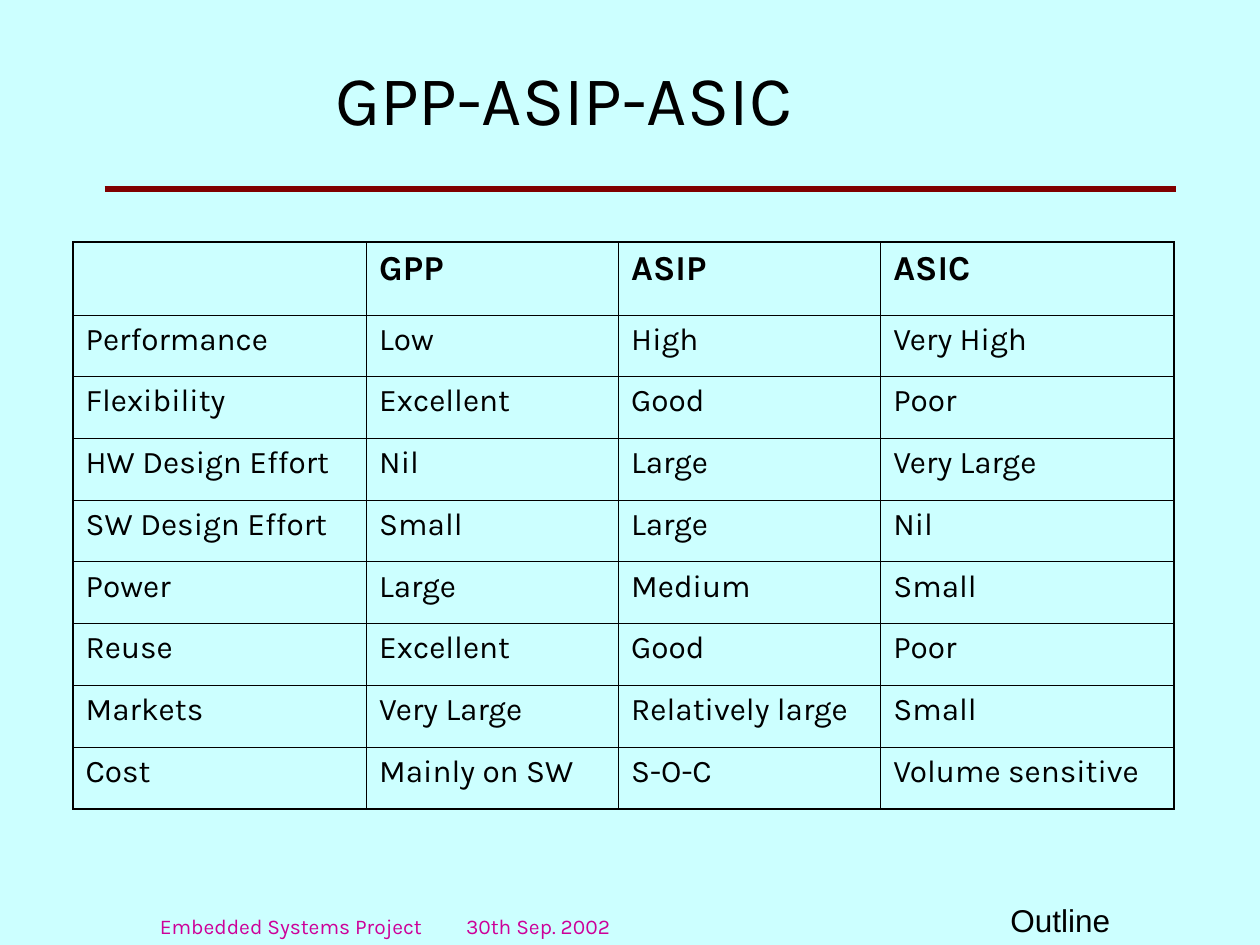
from lxml.etree import SubElement
from pptx import Presentation
from pptx.dml.color import RGBColor
from pptx.enum.shapes import MSO_CONNECTOR
from pptx.enum.text import MSO_ANCHOR, MSO_AUTO_SIZE, PP_ALIGN
from pptx.oxml.ns import qn
from pptx.util import Inches, Pt

BACKGROUND = RGBColor(0xCC, 0xFF, 0xFF)
BLACK = RGBColor(0, 0, 0)
MAROON = RGBColor(0x80, 0, 0)
MAGENTA = RGBColor(0xCC, 0, 0x99)

THIN, THICK = 0.45, 1.08
COLUMN_WIDTHS = [2.33, 2, 2.08, 2.33]
HEADER_HEIGHT, ROW_HEIGHT = 0.58, 0.49
ROWS = [
    ["", "GPP", "ASIP", "ASIC"],
    ["Performance", "Low", "High", "Very High"],
    ["Flexibility", "Excellent", "Good", "Poor"],
    ["HW Design Effort", "Nil", "Large", "Very Large"],
    ["SW Design Effort", "Small", "Large", "Nil"],
    ["Power", "Large", "Medium", "Small"],
    ["Reuse", "Excellent", "Good", "Poor"],
    ["Markets", "Very Large", "Relatively large", "Small"],
    ["Cost", "Mainly on SW", "S-O-C", "Volume sensitive"],
]


def write_text(frame, text, size, font="Karla", color=BLACK, bold=False, tab=None):
    """Fill the frame's first paragraph; tab is an optional tab stop in inches."""
    paragraph = frame.paragraphs[0]
    paragraph.alignment = PP_ALIGN.LEFT
    if tab:
        tabs = SubElement(paragraph._p.get_or_add_pPr(), qn("a:tabLst"))
        SubElement(tabs, qn("a:tab"), pos=str(Inches(tab)), algn="l")
    paragraph.font.size = Pt(size)
    paragraph.font.name = font
    paragraph.font.bold = bold
    paragraph.font.color.rgb = color
    if text:
        paragraph.add_run().text = text


def add_rule(slide, left, top, width):
    rule = slide.shapes.add_connector(
        MSO_CONNECTOR.STRAIGHT, Inches(left), Inches(top), Inches(left + width), Inches(top))
    rule.line.color.rgb = MAROON
    rule.line.width = Pt(3)
    SubElement(rule._element.spPr, qn("a:effectLst"))


def add_label(slide, left, top, width, height, text, size, **text_format):
    box = slide.shapes.add_textbox(Inches(left), Inches(top), Inches(width), Inches(height))
    frame = box.text_frame
    frame.word_wrap = True
    frame.vertical_anchor = MSO_ANCHOR.BOTTOM
    write_text(frame, text, size, **text_format)


def place_title(slide, left, top, width, height):
    title = slide.shapes.title
    title.left, title.top = Inches(left), Inches(top)
    title.width, title.height = Inches(width), Inches(height)
    frame = title.text_frame
    frame.auto_size = MSO_AUTO_SIZE.NONE
    frame.vertical_anchor = MSO_ANCHOR.MIDDLE
    write_text(frame, "GPP-ASIP-ASIC", 40)


def set_borders(cell, widths):
    """Draw the left, right, top and bottom borders, with widths in points."""
    properties = cell._tc.get_or_add_tcPr()
    for side, width in zip("LRTB", widths):
        line = SubElement(properties, qn(f"a:ln{side}"), w=str(Pt(width)))
        fill = SubElement(line, qn("a:solidFill"))
        SubElement(fill, qn("a:srgbClr"), val=str(BLACK))


def add_comparison_table(slide, left, top):
    last_row, last_column = len(ROWS) - 1, len(COLUMN_WIDTHS) - 1
    height = HEADER_HEIGHT + ROW_HEIGHT * last_row
    table = slide.shapes.add_table(
        len(ROWS), len(COLUMN_WIDTHS), Inches(left), Inches(top),
        Inches(sum(COLUMN_WIDTHS)), Inches(height)).table
    table.first_row = table.horz_banding = False
    for column, width in zip(table.columns, COLUMN_WIDTHS):
        column.width = Inches(width)
    for r, values in enumerate(ROWS):
        is_header = r == 0
        table.rows[r].height = Inches(HEADER_HEIGHT if is_header else ROW_HEIGHT)
        for c, value in enumerate(values):
            cell = table.cell(r, c)
            on_edge = (c == 0, c == last_column, is_header, r == last_row)
            set_borders(cell, [THICK if outer else THIN for outer in on_edge])
            cell.fill.background()
            write_text(cell.text_frame, value, 20 if is_header else 18, bold=is_header)


def main():
    presentation = Presentation()
    presentation.slide_width, presentation.slide_height = Inches(10), Inches(7.5)
    slide = presentation.slides.add_slide(presentation.slide_layouts[5])
    slide.background.fill.solid()
    slide.background.fill.fore_color.rgb = BACKGROUND

    add_rule(slide, 0.83, 1.5, 8.5)
    add_label(slide, 7.92, 7.1, 1.08, 0.4, "Outline", 18, font="Arial")
    place_title(slide, 2.56, 0.47, 4.71, 0.6)
    add_comparison_table(slide, 0.58, 1.92)
    add_label(slide, 1.17, 7.17, 5.92, 0.33, "Embedded Systems Project\t30th Sep. 2002", 12,
              color=MAGENTA, tab=2.43)
    presentation.save("out.pptx")


if __name__ == "__main__":
    main()
